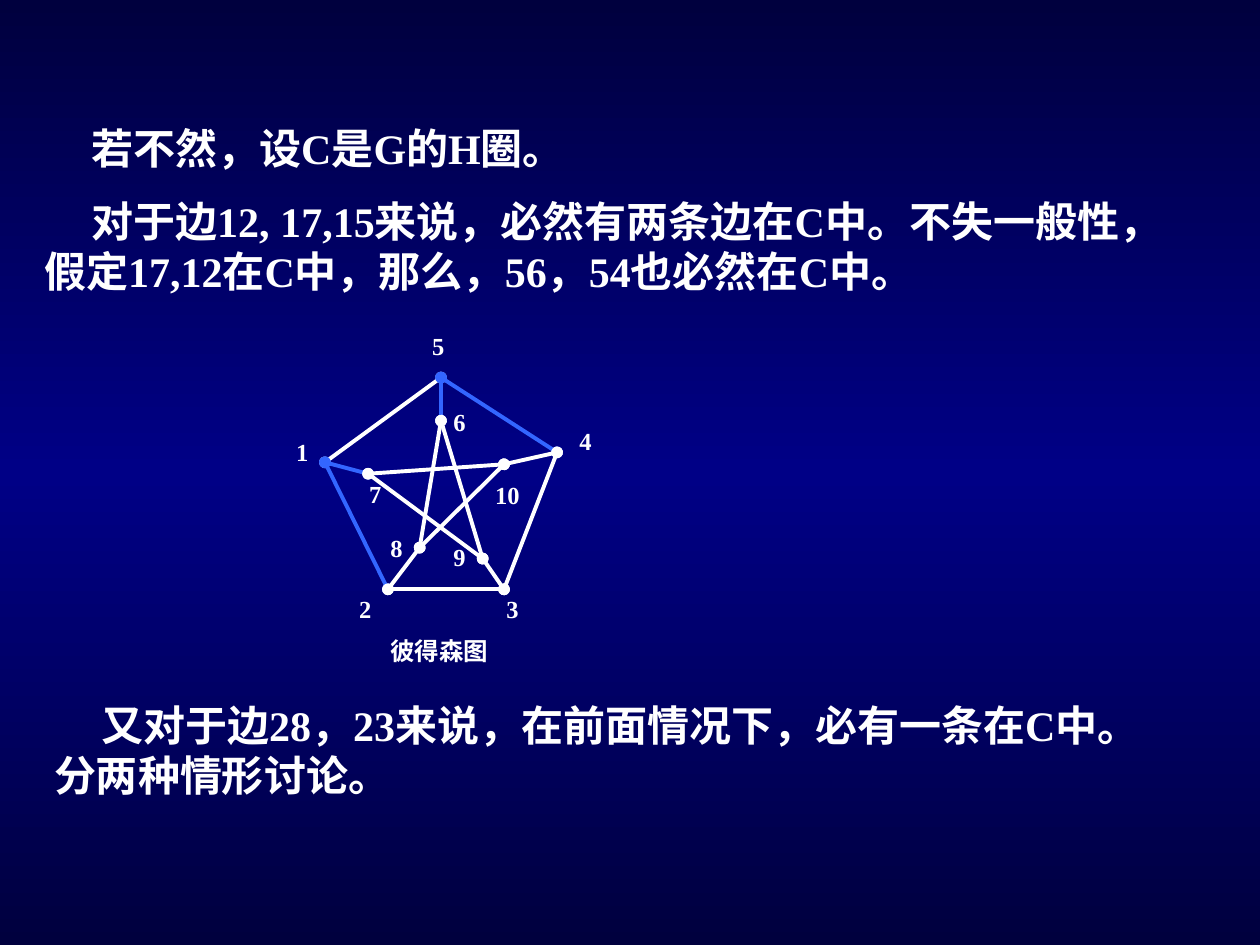
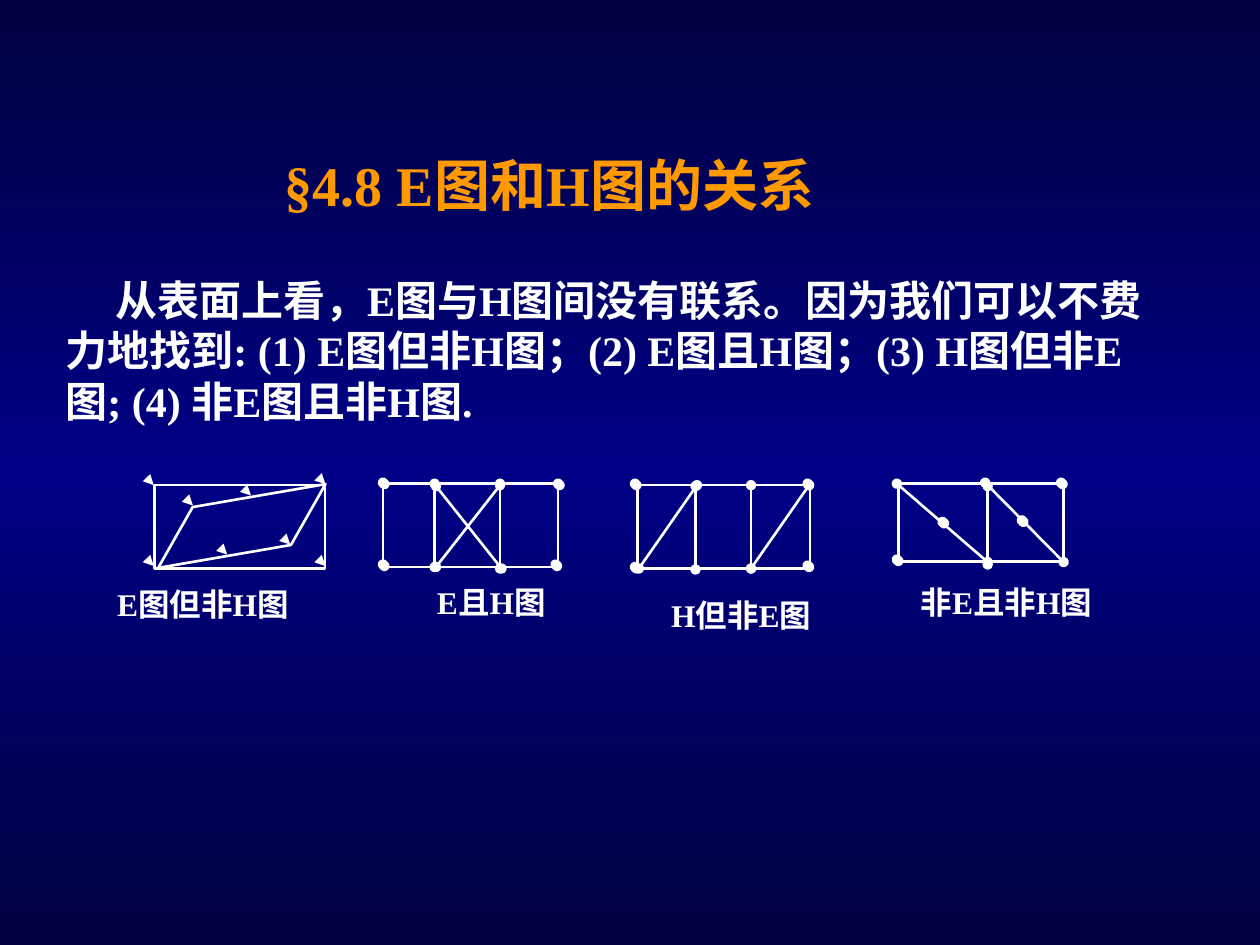
from copy import deepcopy

from lxml import etree
from pptx import Presentation
from pptx.dml.color import RGBColor
from pptx.enum.shapes import MSO_CONNECTOR, MSO_SHAPE
from pptx.oxml.ns import qn
from pptx.util import Cm, Pt

STRAIGHT = MSO_CONNECTOR.STRAIGHT
RECTANGLE = MSO_SHAPE.RECTANGLE
PARALLELOGRAM = MSO_SHAPE.PARALLELOGRAM

WHITE = RGBColor(0xFF, 0xFF, 0xFF)
BLUE = RGBColor(0x33, 0x66, 0xFF)
ORANGE = RGBColor(0xFF, 0x99, 0x00)
NIGHT = RGBColor(0x00, 0x00, 0x3E)
NAVY = RGBColor(0x00, 0x00, 0x86)
FONT = "Times New Roman"
MARKER_LENGTH = 0.03


def add_text(slide, text, left, top, width, height, size, color=WHITE, indent=0):
    shape = slide.shapes.add_textbox(Cm(left), Cm(top), Cm(width), Cm(height))
    shape.text_frame.word_wrap = True
    paragraph = shape.text_frame.paragraphs[0]
    if indent:
        paragraph._p.get_or_add_pPr().set("indent", str(Cm(indent)))
    run = paragraph.add_run()
    run.text = text
    run.font.name = FONT
    run.font.size = Pt(size)
    run.font.bold = True
    run.font.color.rgb = color


def add_edge(slide, start, end, width, color=WHITE, head="oval", tail="oval"):
    connector = slide.shapes.add_connector(
        STRAIGHT, Cm(start[0]), Cm(start[1]), Cm(end[0]), Cm(end[1]))
    connector.line.width = Pt(width)
    connector.line.color.rgb = color
    line = connector.line._get_or_add_ln()
    for tag, kind in (("a:headEnd", head), ("a:tailEnd", tail)):
        if kind:
            etree.SubElement(line, qn(tag)).set("type", kind)
    etree.SubElement(connector._element.spPr, qn("a:effectLst"))


presentation = Presentation()
presentation.slide_width = Cm(25.4)
presentation.slide_height = Cm(19.05)
blank_layout = presentation.slide_layouts[6]

# Shared background: dark edges, lighter middle
background = presentation.slide_master.background.fill
background.gradient()
background.gradient_angle = 270
first_stop = background.gradient_stops[0]
first_stop.color.rgb = NIGHT
background.gradient_stops[1].color.rgb = NIGHT
middle_stop = deepcopy(first_stop._gs)
first_stop._gs.addnext(middle_stop)
background.gradient_stops[1].color.rgb = NAVY
for stop, position in zip(background.gradient_stops, (0, 0.5, 1)):
    stop.position = position

# Slide 1: proof on the Petersen graph
slide = presentation.slides.add_slide(blank_layout)
statements = [
    ("若不然，设C是G的H圈。", 0.64, 2.34, 21.4, 1.45),
    ("对于边12, 17,15来说，必然有两条边在C中。不失一般性，假定17,12在C中，"
     "那么，56，54也必然在C中。", 0.64, 3.81, 22.66, 2.46),
    ("又对于边28，23来说，在前面情况下，必有一条在C中。分两种情形讨论。",
     0.84, 13.97, 22.43, 2.46),
]
for text, left, top, width, height in statements:
    add_text(slide, text, left, top, width, height, 24, indent=0.95)

# Vertices and edges, with the edges known to lie in C in blue
vertices = {
    1: (6.55, 9.32), 2: (7.82, 11.88), 3: (10.16, 11.88), 4: (11.23, 9.12),
    5: (8.89, 7.61), 6: (8.89, 8.48), 7: (7.42, 9.55), 8: (8.46, 11.04),
    9: (9.73, 11.26), 10: (10.16, 9.36),
}
edges = [(5, 1), (5, 4), (1, 2), (4, 3), (2, 3), (5, 6), (1, 7), (10, 4),
         (9, 3), (8, 2), (6, 8), (6, 9), (7, 9), (10, 8), (7, 10)]
cycle_edges = {(5, 4), (1, 2), (5, 6), (1, 7)}
for edge in edges:
    start, end = edge
    add_edge(slide, vertices[start], vertices[end], 2.25,
             BLUE if edge in cycle_edges else WHITE)

# Vertex numbers and caption
number_places = {
    1: (5.72, 8.69), 2: (6.99, 11.86), 3: (9.96, 11.86), 4: (11.43, 8.46),
    5: (8.46, 6.55), 6: (8.89, 8.08), 7: (7.19, 9.53), 8: (7.62, 10.62),
    9: (8.89, 10.8), 10: (9.73, 9.55),
}
for number, (left, top) in number_places.items():
    add_text(slide, str(number), left, top, 1.27 if number > 9 else 0.89, 0.86, 14)
add_text(slide, "彼得森图", 7.62, 12.7, 3.18, 0.86, 14)

# Slide 2: Euler and Hamilton graphs
slide = presentation.slides.add_slide(blank_layout)
add_text(slide, "§4.8 E图和H图的关系", 5.49, 2.9, 14.2, 1.63, 32, ORANGE)
add_text(slide, "从表面上看，E图与H图间没有联系。因为我们可以不费力地找到: (1) E图但非H图；"
         "(2) E图且H图；(3) H图但非E图; (4) 非E图且非H图.",
         1.07, 5.41, 22.23, 3.3, 24, indent=1)

# Each example: caption, its box, frame, inner edges, separate vertices, vertex style
examples = [
    ("E图但非H图", (2.11, 11.66, 4.45, 1.07), (3.12, 9.78, 3.43, 1.68), [],
     [(6.53, 11.38), (3.07, 11.38), (3.07, 9.75), (6.53, 9.73),
      (4.55, 11.15), (5.03, 9.96), (3.86, 10.16), (5.82, 10.95)],
     (None, "triangle")),
    ("E且H图", (8.56, 11.63, 3.33, 1.09), (7.72, 9.75, 3.53, 1.68),
     [((10.08, 9.75), (10.08, 11.46)), ((8.79, 11.43), (10.08, 9.78)),
      ((10.11, 11.46), (8.79, 9.8)), ((8.76, 9.75), (8.76, 11.43))],
     [(7.72, 11.38), (7.72, 9.73), (11.2, 11.38), (11.25, 9.75)],
     ("oval", "oval")),
    ("H但非E图", (13.28, 11.89, 3.9, 0.84), (12.85, 9.78, 3.48, 1.68),
     [((15.14, 9.78), (15.14, 11.46)), ((12.88, 11.46), (14.05, 9.78)),
      ((14.02, 9.8), (14.02, 11.48)), ((15.14, 11.46), (16.31, 9.78))],
     [(16.28, 9.75), (16.28, 11.4), (12.8, 9.75), (12.8, 11.43)],
     ("oval", "oval")),
    ("非E且非H图", (18.31, 11.63, 5, 1.5), (18.11, 9.75, 3.33, 1.57),
     [((19.86, 9.73), (21.44, 11.33)), ((18.08, 9.75), (19.91, 11.33)),
      ((19.91, 9.8), (19.91, 11.38))],
     [(18.08, 11.28), (21.39, 9.73), (19, 10.52), (20.6, 10.49)],
     ("oval", "oval")),
]
outlines = [(RECTANGLE, frame) for _, _, frame, _, _, _ in examples]
outlines.append((PARALLELOGRAM, (3.07, 10.06, 3.61, 1.09)))
for kind, box in outlines:
    shape = slide.shapes.add_shape(kind, *[Cm(length) for length in box])
    shape.shadow.inherit = False
    shape.fill.background()
    shape.line.color.rgb = WHITE
    shape.line.width = Pt(1.5)
    if kind == PARALLELOGRAM:
        shape.adjustments[0] = 0.82
        shape.rotation = 350.2

for caption, caption_box, _, inner_edges, markers, (head, tail) in examples:
    for start, end in inner_edges:
        add_edge(slide, start, end, 1.5)
    for x, y in markers:
        add_edge(slide, (x, y), (x + MARKER_LENGTH, y + MARKER_LENGTH), 1.5,
                 head=head, tail=tail)
    add_text(slide, caption, *caption_box, 18)

presentation.save("out.pptx")
